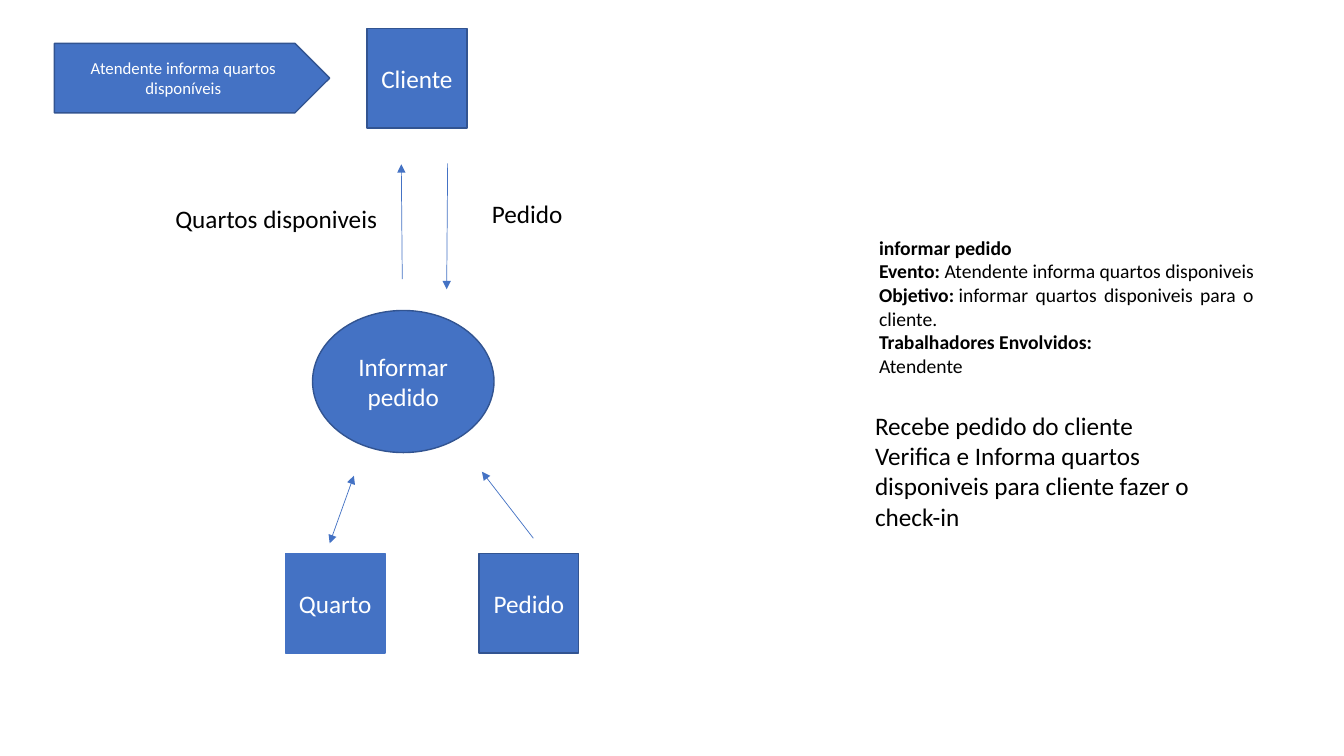
from lxml.etree import SubElement
from pptx import Presentation
from pptx.dml.color import RGBColor
from pptx.enum.shapes import MSO_CONNECTOR, MSO_SHAPE as Shape
from pptx.enum.text import MSO_ANCHOR as Anchor, MSO_AUTO_SIZE as AutoSize, PP_ALIGN as Align
from pptx.oxml.ns import qn
from pptx.util import Inches, Pt

BLUE, DARK_BLUE, WHITE, BLACK = "4472C4", "325491", "FFFFFF", "000000"
SQUARE = (0.99, 0.99)

# preset, text, position, size, font size, outline
NODES = [
    (Shape.RECTANGLE, "Cliente", (3.64, 0.28), SQUARE, 18, DARK_BLUE),
    (Shape.OVAL, "Informar pedido", (3.1, 3.08), (1.8, 1.41), 18, DARK_BLUE),
    (Shape.PENTAGON, "Atendente informa quartos disponíveis", (0.54, 0.43), (2.73, 0.69), 12, DARK_BLUE),
    (Shape.RECTANGLE, "Quarto", (2.83, 5.49), SQUARE, 18, BLUE),
    (Shape.RECTANGLE, "Pedido", (4.75, 5.49), SQUARE, 18, DARK_BLUE),
]

# start, end, arrowhead ends
ARROWS = [
    ((3.99, 2.77), (3.98, 1.63), ["tailEnd"]),
    ((4.44, 1.62), (4.43, 2.87), ["tailEnd"]),
    ((3.27, 5.39), (3.51, 4.72), ["headEnd", "tailEnd"]),
    ((5.29, 5.34), (4.78, 4.68), ["tailEnd"]),
]

# paragraphs made of (text, bold) runs
EVENT_DETAILS = [
    [("informar pedido", True)],
    [("Evento: ", True), ("Atendente informa quartos disponiveis", False)],
    [("Objetivo:", True), ("\u00a0informar quartos disponiveis para o\u00a0 cliente.", False)],
    [("Trabalhadores Envolvidos:", True)],
    [("Atendente", False)],
]
PROCESS_STEPS = [
    [("Recebe pedido do cliente", False)],
    [("Verifica e Informa quartos disponiveis para cliente fazer o check-in", False)],
]

# paragraphs, position, size, font size, alignment
TEXTS = [
    (EVENT_DETAILS, (8.62, 2.29), (3.96, 1.51), 14, Align.JUSTIFY),
    ([[("Quartos disponiveis", False)]], (1.64, 1.97), (2.38, 0.4), 18, Align.LEFT),
    ([[("Pedido", False)]], (4.78, 1.92), (1.02, 0.4), 18, Align.LEFT),
    (PROCESS_STEPS, (8.58, 4.02), (3.39, 1.31), 18, Align.LEFT),
]


def color(value):
    """Turn a hex string into a colour."""
    return RGBColor.from_string(value)


def write(frame, paragraphs, size=18, fill=BLACK, align=Align.LEFT, anchor=Anchor.TOP):
    """Fill a text frame with paragraphs of (text, bold) runs."""
    frame.word_wrap = True
    frame.vertical_anchor = anchor
    for index, runs in enumerate(paragraphs):
        paragraph = frame.add_paragraph() if index else frame.paragraphs[0]
        paragraph.alignment = align
        for text, bold in runs:
            run = paragraph.add_run()
            run.text = text
            run.font.name = "Calibri"
            run.font.size = Pt(size)
            run.font.bold = bold
            run.font.color.rgb = color(fill)


def add_node(slide, preset, text, position, extent, size, outline):
    """Add a blue shape with a centred label."""
    shape = slide.shapes.add_shape(preset, *map(Inches, position + extent))
    shape.shadow.inherit = False
    shape.fill.solid()
    shape.fill.fore_color.rgb = color(BLUE)
    shape.line.color.rgb = color(outline)
    shape.line.width = Pt(1)
    write(shape.text_frame, [[(text, False)]], size=size, fill=WHITE,
          align=Align.CENTER, anchor=Anchor.MIDDLE)


def add_arrow(slide, start, end, heads):
    """Add a thin connector with triangles at the named ends."""
    connector = slide.shapes.add_connector(MSO_CONNECTOR.STRAIGHT, *map(Inches, start + end))
    connector.line.color.rgb = color(BLUE)
    connector.line.width = Pt(0.5)
    properties = connector.element.spPr
    for head in heads:
        SubElement(properties.find(qn("a:ln")), qn("a:" + head), type="triangle")
    SubElement(properties, qn("a:effectLst"))


def add_text(slide, paragraphs, position, extent, size, align):
    """Add a wrapping text box that grows with its text."""
    box = slide.shapes.add_textbox(*map(Inches, position + extent))
    box.text_frame.auto_size = AutoSize.SHAPE_TO_FIT_TEXT
    write(box.text_frame, paragraphs, size=size, align=align)


presentation = Presentation()
presentation.slide_width, presentation.slide_height = Inches(13.33), Inches(7.5)
slide = presentation.slides.add_slide(presentation.slide_layouts[6])
for add, items in ((add_node, NODES), (add_arrow, ARROWS), (add_text, TEXTS)):
    for item in items:
        add(slide, *item)
presentation.save("out.pptx")
